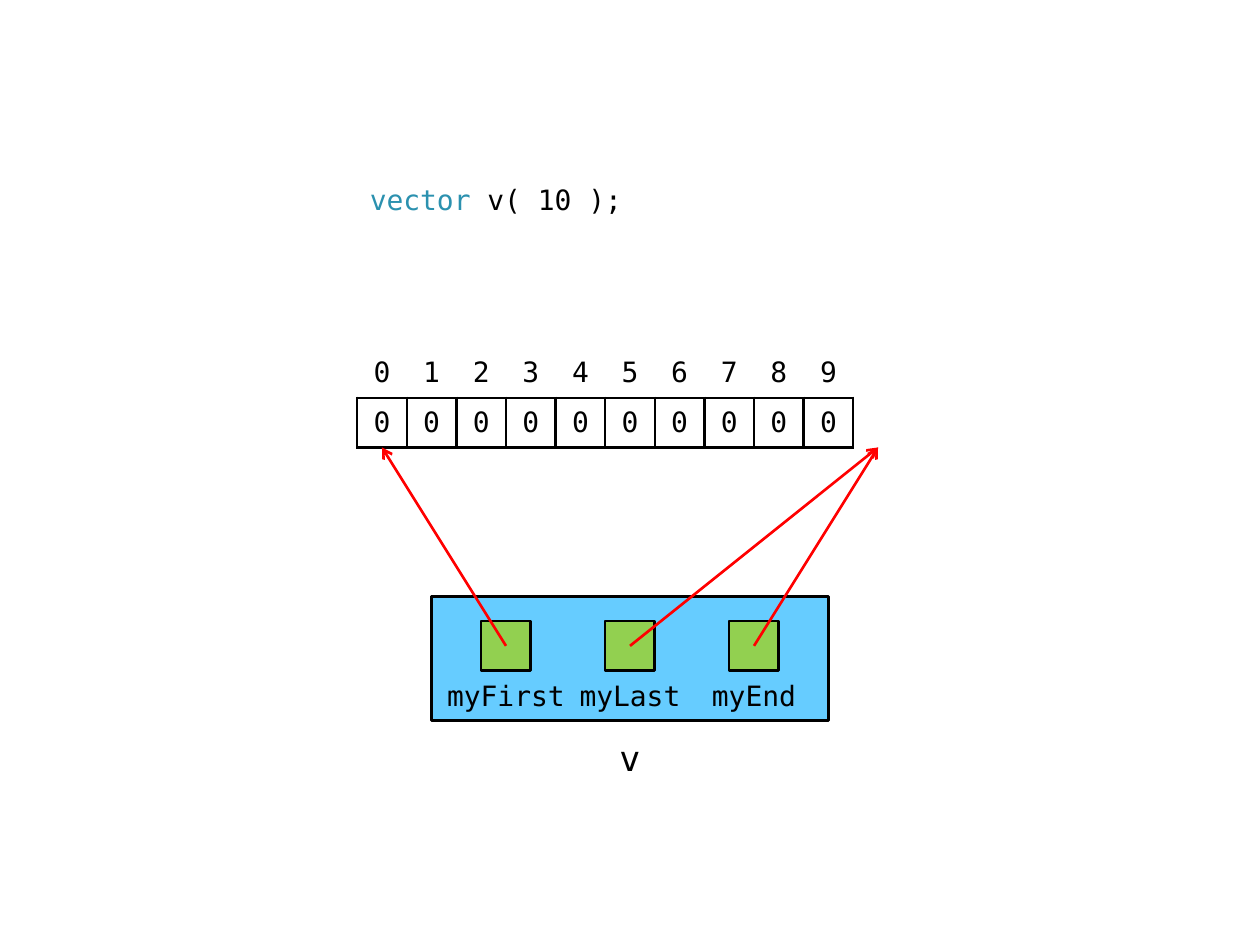
from dataclasses import dataclass

from lxml import etree
from pptx import Presentation
from pptx.dml.color import RGBColor
from pptx.enum.shapes import MSO_CONNECTOR, MSO_SHAPE
from pptx.enum.text import MSO_ANCHOR, MSO_AUTO_SIZE, PP_ALIGN
from pptx.oxml.ns import qn
from pptx.util import Inches, Pt

LEFT, CENTER = PP_ALIGN.LEFT, PP_ALIGN.CENTER
MIDDLE, NO_FIT = MSO_ANCHOR.MIDDLE, MSO_AUTO_SIZE.NONE
RECT, PROCESS = MSO_SHAPE.RECTANGLE, MSO_SHAPE.FLOWCHART_PROCESS
STRAIGHT = MSO_CONNECTOR.STRAIGHT


@dataclass(frozen=True)
class Theme:
    font: str = "DejaVu Sans Mono"
    ink: str = "000000"
    keyword: str = "2B91AF"
    object_fill: str = "66CCFF"
    member_fill: str = "92D050"
    pointer: str = "FF0000"
    text_size: int = 16
    name_size: int = 20
    line: float = 1.5


THEME = Theme()

# Content
CODE = [("vector", THEME.keyword), (" v( 10 );", THEME.ink)]
ELEMENTS = [0] * 10
OBJECT_NAME = "v"
MEMBERS = [("myFirst", 0), ("myLast", 10), ("myEnd", 10)]  # name, element pointed at

# Layout in px
PX = 7200  # EMU, so that a 1 cm cell is 50 px
CELL = 50
ARRAY_X, ARRAY_Y = 360, 351
CODE_BOX = (ARRAY_X, 176, 550, CELL)
OBJECT_X, OBJECT_Y, OBJECT_W, OBJECT_H = 435, 601, 400, 125
MEMBER_STEP, LABEL_W = 125, 150
NAME_W, NAME_H = 200, 75


def px(*lengths):
    return [round(length * PX) for length in lengths]


def write(frame, runs, size=THEME.text_size, align=CENTER):
    """Fill a text frame with runs given as (text, colour)."""
    frame.word_wrap = True
    frame.vertical_anchor = MIDDLE
    paragraph = frame.paragraphs[0]
    paragraph.alignment = align
    paragraph.space_before = Pt(0)
    for text, color in runs:
        run = paragraph.add_run()
        run.text = text
        run.font.name = THEME.font
        run.font.size = Pt(size)
        run.font.bold = False
        run.font.color.rgb = RGBColor.from_string(color)
    return paragraph


def add_box(slide, kind, box, fill=None):
    shape = slide.shapes.add_shape(kind, *px(*box))
    shape.shadow.inherit = False
    if fill:
        shape.fill.solid()
        shape.fill.fore_color.rgb = RGBColor.from_string(fill)
        shape.line.color.rgb = RGBColor.from_string(THEME.ink)
        shape.line.width = Pt(THEME.line)
    else:
        shape.fill.background()
        shape.line.fill.background()
    return shape


def add_pointer(slide, start, end):
    arrow = slide.shapes.add_connector(STRAIGHT, *px(*start, *end))
    arrow.line.color.rgb = RGBColor.from_string(THEME.pointer)
    arrow.line.width = Pt(THEME.line)
    etree.SubElement(arrow.line._get_or_add_ln(), qn("a:tailEnd"), type="arrow")
    etree.SubElement(arrow._element.spPr, qn("a:effectLst"))


def set_borders(cell, drawn):
    properties = cell._tc.get_or_add_tcPr()
    for position, side in enumerate("LRTB"):
        border = etree.Element(qn(f"a:ln{side}"), w=str(Pt(THEME.line)))
        if side in drawn:
            fill = etree.SubElement(border, qn("a:solidFill"))
            etree.SubElement(fill, qn("a:srgbClr"), val=THEME.ink)
        else:
            etree.SubElement(border, qn("a:noFill"))
        properties.insert(position, border)


def add_code(slide):
    body = slide.placeholders[1]
    body.left, body.top, body.width, body.height = px(*CODE_BOX)
    paragraph = write(body.text_frame, CODE, align=LEFT)
    body.text_frame.auto_size = NO_FIT
    properties = paragraph._p.get_or_add_pPr()
    properties.set("marL", "0")
    properties.set("indent", "0")
    etree.SubElement(properties, qn("a:buNone"))


def add_array(slide):
    count = len(ELEMENTS)
    box = px(ARRAY_X, ARRAY_Y, count * CELL, 2 * CELL)
    table = slide.shapes.add_table(2, count, *box).table
    table.first_row = table.horz_banding = False
    rows = [(range(count), "B"), (ELEMENTS, "LRTB")]  # indexes, then values
    for row, (values, borders) in enumerate(rows):
        for column, value in enumerate(values):
            cell = table.cell(row, column)
            cell.fill.background()
            cell.vertical_anchor = MIDDLE
            cell.margin_left = cell.margin_right = Inches(0.06)
            cell.margin_top = cell.margin_bottom = Inches(0.04)
            write(cell.text_frame, [(str(value), THEME.ink)])
            set_borders(cell, borders)


def add_object(slide):
    add_box(slide, PROCESS, (OBJECT_X, OBJECT_Y, OBJECT_W, OBJECT_H), THEME.object_fill)
    member_y = OBJECT_Y + CELL // 2
    pointers = []
    for index, (name, element) in enumerate(MEMBERS):
        label_x = OBJECT_X + index * MEMBER_STEP
        member_x = label_x + (LABEL_W - CELL) // 2
        add_box(slide, RECT, (member_x, member_y, CELL, CELL), THEME.member_fill)
        label = add_box(slide, PROCESS, (label_x, member_y + CELL, LABEL_W, CELL))
        write(label.text_frame, [(name, THEME.ink)])
        start = (member_x + CELL // 2, member_y + CELL // 2)
        end = (ARRAY_X + element * CELL + CELL // 2, ARRAY_Y + 2 * CELL)
        pointers.append((start, end))
    for start, end in pointers:
        add_pointer(slide, start, end)

    # Variable name, centred below the object
    name_x = OBJECT_X + (OBJECT_W - NAME_W) // 2
    name_box = px(name_x, OBJECT_Y + OBJECT_H, NAME_W, NAME_H)
    caption = slide.shapes.add_textbox(*name_box)
    write(caption.text_frame, [(OBJECT_NAME, THEME.ink)], size=THEME.name_size)


def main():
    deck = Presentation()
    deck.slide_width, deck.slide_height = Inches(10), Inches(7.5)
    slide = deck.slides.add_slide(deck.slide_layouts[1])
    title = slide.shapes.title._element
    title.getparent().remove(title)
    add_code(slide)
    add_array(slide)
    add_object(slide)
    deck.save("out.pptx")


if __name__ == "__main__":
    main()
